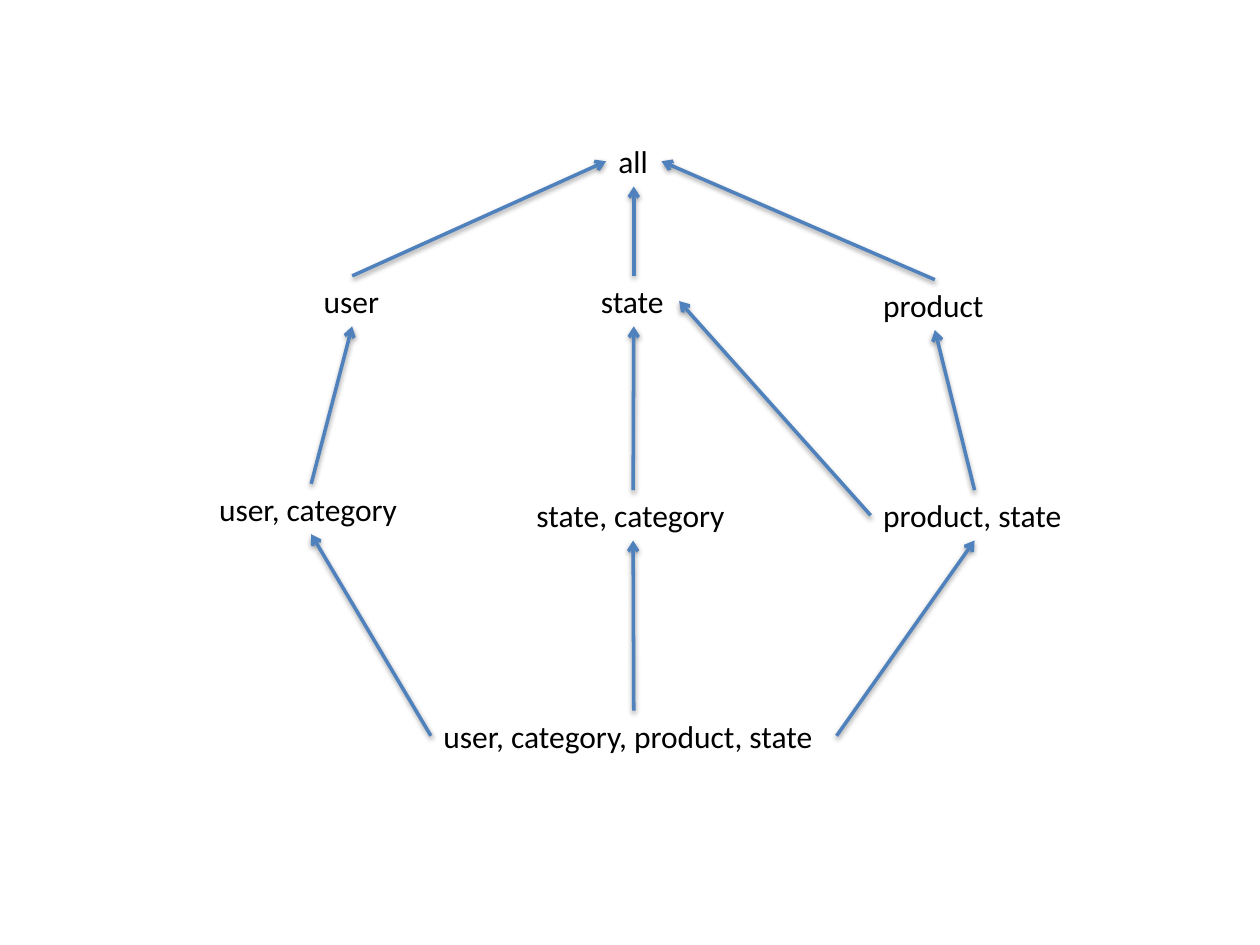
from lxml.etree import SubElement
from pptx import Presentation
from pptx.dml.color import RGBColor
from pptx.enum.shapes import MSO_CONNECTOR
from pptx.enum.text import MSO_AUTO_SIZE
from pptx.oxml.ns import qn
from pptx.util import Inches, Pt

COLORS = {"text": "000000", "arrow": "4F81BD", "shadow": "000000"}
TOP, LEFT, BOTTOM, RIGHT = range(4)  # connection sites of a text box
LABEL_HEIGHT = 0.4

# name: (left, top, width), measured from the corner of the lattice
LABELS = {
    "all": (3.17, 0, 0.44),
    "user": (0.83, 1.11, 0.65),
    "state": (3.03, 1.11, 0.72),
    "product": (5.27, 1.14, 1.02),
    "user, category": (0, 2.76, 1.66),
    "state, category": (2.52, 2.81, 1.73),
    "product, state": (5.27, 2.81, 1.65),
    "user, category, product, state": (1.78, 4.56, 3.22),
}
BASE = "user, category, product, state"
ARROWS = [
    (BASE, LEFT, "user, category", BOTTOM),
    (BASE, RIGHT, "product, state", BOTTOM),
    ("user, category", TOP, "user", BOTTOM),
    ("product, state", TOP, "product", BOTTOM),
    ("user", TOP, "all", LEFT),
    ("product", TOP, "all", RIGHT),
    ("state", TOP, "all", BOTTOM),
    ("state, category", TOP, "state", BOTTOM),
    (BASE, TOP, "state, category", BOTTOM),
    ("product, state", LEFT, "state", RIGHT),
]


def add_text(slide, text, left, top, width, height, size=18, font="Calibri", color="text"):
    """Add a one-line text box that fits its text."""
    sp = slide.shapes.add_textbox(Inches(left), Inches(top), Inches(width), Inches(height))
    tf = sp.text_frame
    tf.word_wrap = False
    tf.auto_size = MSO_AUTO_SIZE.SHAPE_TO_FIT_TEXT
    r = tf.paragraphs[0].add_run()
    r.text = text
    r.font.size = Pt(size)
    r.font.name = font
    r.font.color.rgb = RGBColor.from_string(COLORS[color])
    return sp


def add_shadow(shape):
    """Give a shape a soft shadow straight below it."""
    effects = SubElement(shape._element.spPr, qn("a:effectLst"))
    shadow = SubElement(effects, qn("a:outerShdw"), blurRad=str(Pt(3.1)),
                        dist=str(Pt(1.6)), dir="5400000", rotWithShape="0")
    color = SubElement(shadow, qn("a:srgbClr"), val=COLORS["shadow"])
    SubElement(color, qn("a:alpha"), val="38000")


def add_arrow(slide, start, start_site, end, end_site):
    """Connect two labels with an arrow that points at the second."""
    line = slide.shapes.add_connector(MSO_CONNECTOR.STRAIGHT, 0, 0, 0, 0)
    line.begin_connect(start, start_site)
    line.end_connect(end, end_site)
    line.line.width = Pt(2)
    line.line.color.rgb = RGBColor.from_string(COLORS["arrow"])
    SubElement(line.line._get_or_add_ln(), qn("a:tailEnd"), type="arrow")
    add_shadow(line)


def add_lattice(slide, left, top):
    """Draw the labels and arrows of the lattice from its top left corner."""
    boxes = {
        name: add_text(slide, name, left + x, top + y, width, LABEL_HEIGHT)
        for name, (x, y, width) in LABELS.items()
    }
    for start, start_site, end, end_site in ARROWS:
        add_arrow(slide, boxes[start], start_site, boxes[end], end_site)


prs = Presentation()
prs.slide_width, prs.slide_height = Inches(10), Inches(7.5)
slide = prs.slides.add_slide(prs.slide_layouts[6])
add_lattice(slide, 1.64, 1.08)
prs.save("out.pptx")
